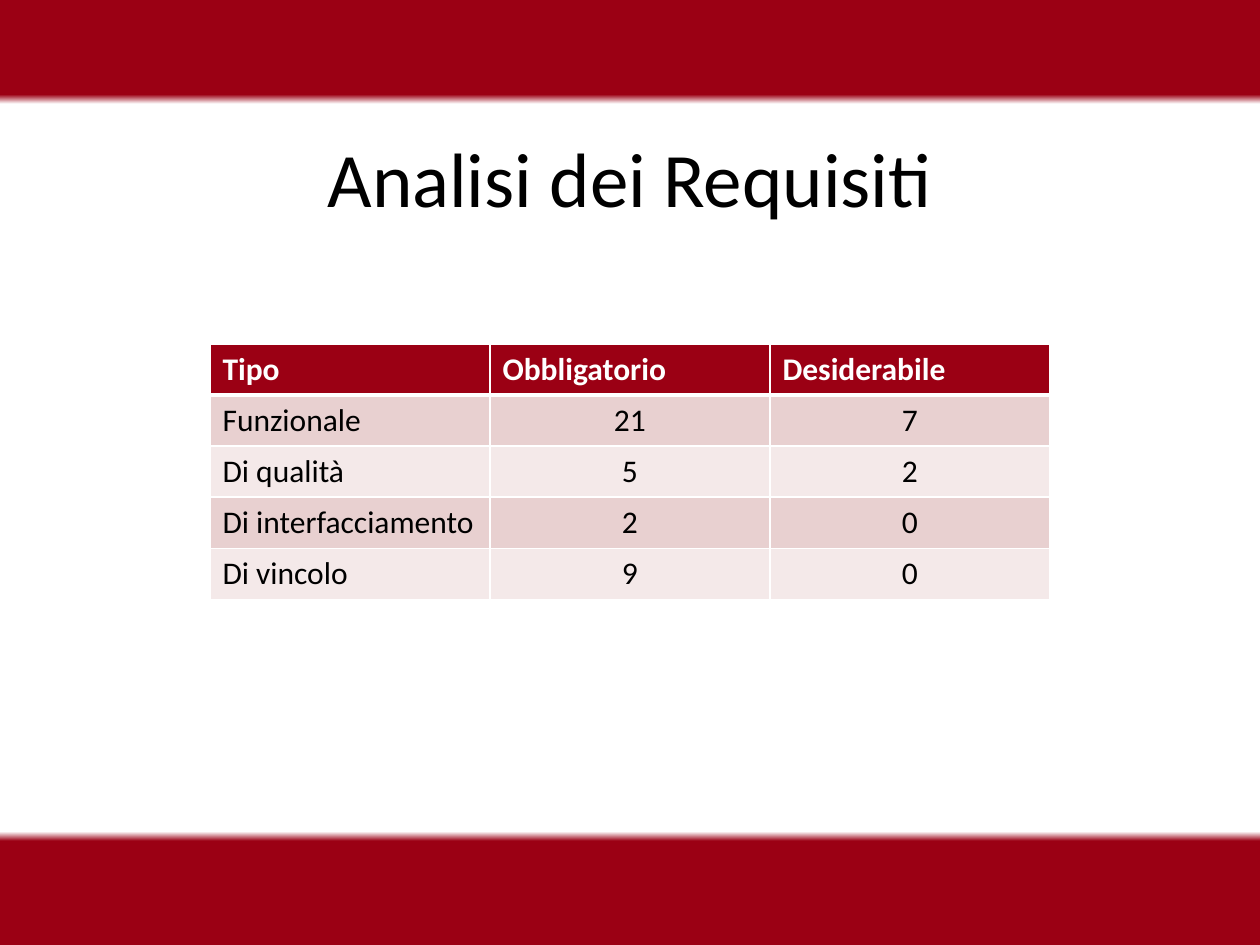
import pptx
import pptx.dml.color
import pptx.enum.text
import pptx.oxml
import pptx.oxml.ns
import pptx.util
from pptx.util import Pt

CRIMSON = pptx.dml.color.RGBColor(0x9B, 0x00, 0x14)
WHITE = pptx.dml.color.RGBColor(0xFF, 0xFF, 0xFF)
BLACK = pptx.dml.color.RGBColor(0x00, 0x00, 0x00)
ROSE = pptx.dml.color.RGBColor(0xE8, 0xD0, 0xD0)
PALE_ROSE = pptx.dml.color.RGBColor(0xF4, 0xE9, 0xE9)
FONT = "Calibri"
NAMESPACE = pptx.oxml.ns.nsdecls("a")


def add_border(cell, side, width):
    """Draw one white cell edge; call in the order L, R, T, B, before the fill."""
    cell._tc.get_or_add_tcPr().append(pptx.oxml.parse_xml(
        f'<a:ln{side} {NAMESPACE} w="{Pt(width)}"><a:solidFill>'
        f'<a:srgbClr val="{WHITE}"/></a:solidFill></a:ln{side}>'))


presentation = pptx.Presentation()
presentation.slide_width = Pt(720)
presentation.slide_height = Pt(540)
slide = presentation.slides.add_slide(presentation.slide_layouts[6])

# Crimson bands at the top and bottom, fading briefly into white
backdrop = slide.background.fill
backdrop.gradient()
backdrop.gradient_angle = 270
stops = slide.element.find(".//" + pptx.oxml.ns.qn("a:gsLst"))
for default_stop in list(stops):
    stops.remove(default_stop)
for percent, color in [(0, CRIMSON), (10, CRIMSON), (11, WHITE),
                       (88, WHITE), (89, CRIMSON), (98, CRIMSON)]:
    stops.append(pptx.oxml.parse_xml(
        f'<a:gs {NAMESPACE} pos="{percent * 1000}"><a:srgbClr val="{color}"/></a:gs>'))

title = slide.shapes.add_textbox(Pt(54), Pt(60.5), Pt(612), Pt(81)).text_frame
title.word_wrap = True
title.vertical_anchor = pptx.enum.text.MSO_ANCHOR.MIDDLE
heading = title.paragraphs[0]
heading.text = "Analisi dei Requisiti"
heading.alignment = pptx.enum.text.PP_ALIGN.CENTER
heading.font.name = FONT
heading.font.size = Pt(44)
heading.font.color.rgb = BLACK

requirements = [
    ("Tipo", "Obbligatorio", "Desiderabile"),
    ("Funzionale", "21", "7"),
    ("Di qualità", "5", "2"),
    ("Di interfacciamento", "2", "0"),
    ("Di vincolo", "9", "0"),
]
ROW_HEIGHT = 29.2
table = slide.shapes.add_table(
    len(requirements), 3, Pt(120), Pt(196.5), Pt(480),
    Pt(ROW_HEIGHT * len(requirements))).table

for row, values in enumerate(requirements):
    table.rows[row].height = Pt(ROW_HEIGHT)
    is_header = row == 0
    for column, value in enumerate(values):
        cell = table.cell(row, column)
        add_border(cell, "L", 1)
        add_border(cell, "R", 1)
        add_border(cell, "T", 3 if row == 1 else 1)
        add_border(cell, "B", 3 if is_header else 1)
        cell.fill.solid()
        cell.fill.fore_color.rgb = CRIMSON if is_header else ROSE if row % 2 else PALE_ROSE

        entry = cell.text_frame.paragraphs[0]
        entry.text = value
        entry.font.name = FONT
        entry.font.size = Pt(18)
        entry.font.bold = is_header
        entry.font.color.rgb = WHITE if is_header else BLACK
        if column and not is_header:
            entry.alignment = pptx.enum.text.PP_ALIGN.CENTER

presentation.save("out.pptx")
